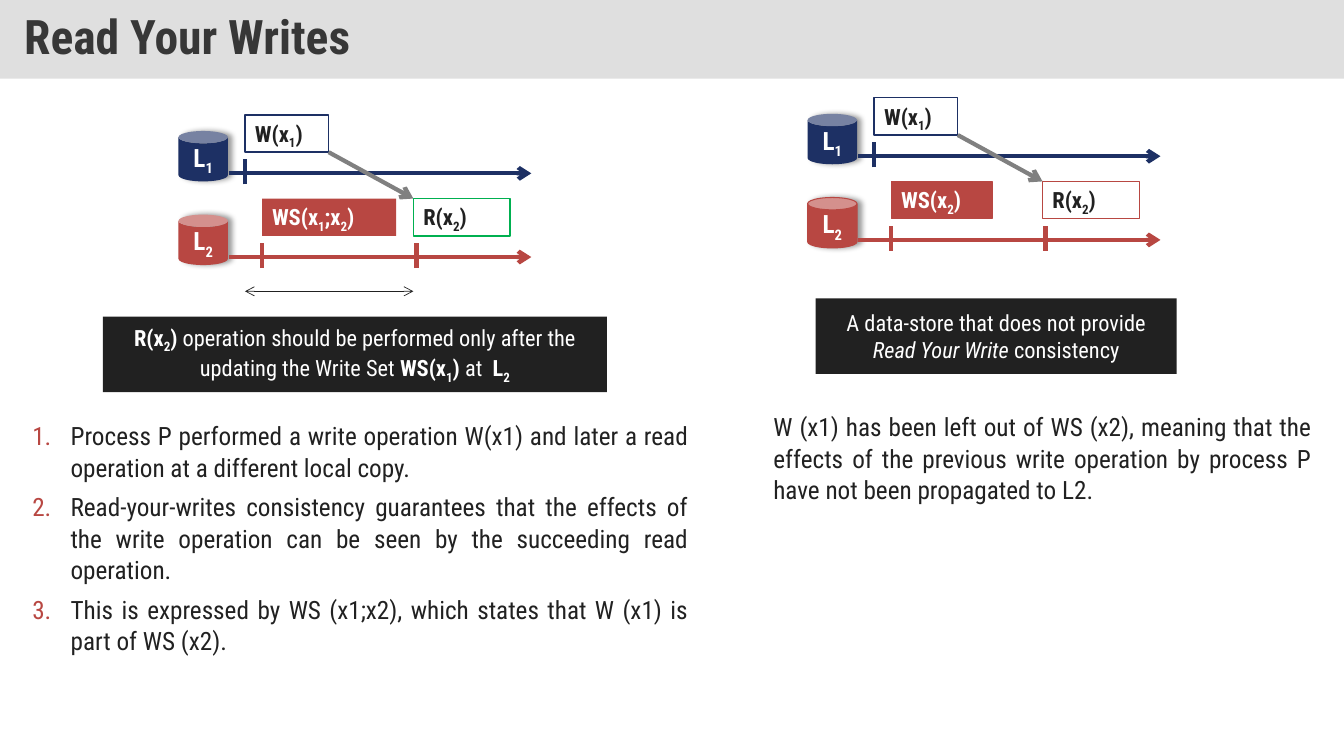
"""Build the slide that explains read-your-writes consistency."""
from lxml.etree import SubElement
from pptx import Presentation
from pptx.dml.color import RGBColor
from pptx.enum.shapes import MSO_CONNECTOR as Connector, MSO_SHAPE as Shape
from pptx.enum.text import MSO_ANCHOR as Anchor, MSO_AUTO_SIZE as AutoSize, PP_ALIGN as Align
from pptx.oxml.ns import qn
from pptx.util import Inches, Pt

FONT = "Roboto Condensed"
COLORS = {"navy": "1D3064", "red": "B84742", "green": "00B050", "dark": "212121",
          "gray": "808080", "white": "FFFFFF", "title": "373737", "banner": "C0C0C0"}

TITLE = "Read Your Writes"
WRITE = [("W(x", "b"), ("1", "bs"), (")", "b")]
READ = [("R(x", "b"), ("2", "bs"), (")", "b")]
PANELS = [
    {"origin": (1.77, 1.30), "write_set_width": 1.33, "write_set_line": None,
     "read_line": "green", "store_lines": (None, None), "interval": True,
     "write_set": [("WS(x", "b"), ("1", "bs"), (";x", "b"), ("2", "bs"), (")", "b")],
     "callout_at": (1.02, 3.14, 5, 0.75),
     "callout": READ + [
         (" operation should be performed only after the updating the Write Set ", ""),
         ("WS(x", "b"), ("1", "bs"), (")", "b"), (" at  ", ""), ("L", "b"), ("2", "bs")]},
    {"origin": (8.01, 1.13), "write_set_width": 1.0, "write_set_line": "red",
     "read_line": "red", "store_lines": (None, "red"), "interval": False,
     "write_set": [("WS(x", "b"), ("2", "bs"), (")", "b")],
     "callout_at": (8.09, 2.96, 3.58, 0.75),
     "callout": [("A data-store that does not provide ", ""), ("Read Your Write", "i"),
                 (" consistency", "")]},
]
NOTES = [
    {"at": (0.22, 4.11, 6.71, 2.46), "numbered": True, "lines": [
        "Process P performed a write operation W(x1) and later a read operation at a "
        "different local copy.",
        "Read-your-writes consistency guarantees that the effects of the write operation "
        "can be seen by the succeeding read operation.",
        "This is expressed by WS (x1;x2), which states that W (x1) is part of WS (x2)."]},
    {"at": (7.57, 4.02, 5.54, 1.83), "numbered": False, "lines": [
        "W (x1) has been left out of WS (x2), meaning that the effects of the previous write "
        "operation by process P have not been propagated to L2."]},
]
ROW_COLORS = ("navy", "red")
ROW_STEP = 0.83
AXIS_X, AXIS_Y, AXIS_LENGTH = 0.5, 0.42, 3
WRITE_X, WRITE_SET_X, READ_X = 0.66, 0.83, 2.33
TICKS = [(WRITE_X, 0), (WRITE_SET_X, 1), (2.36, 1)]
BOX_Y, BOX_HEIGHT = -0.16, 0.37
WRITE_WIDTH, READ_WIDTH = 0.83, 0.96
INTERVAL_Y = 1.59


def rgb(name):
    return RGBColor.from_string(COLORS[name])


def place(shape, at):
    shape.left, shape.top, shape.width, shape.height = map(Inches, at)


def style_font(font, size, color):
    font.name, font.size = FONT, Pt(size)
    font.color.rgb = rgb(color)


def add_box(page, kind, at, parts, fill, line=None, width=1, size=16, color="white",
            align=Align.CENTER, anchor=Anchor.MIDDLE):
    box = page.shapes.add_shape(kind, *map(Inches, at))
    box.shadow.inherit = False
    box.fill.solid()
    box.fill.fore_color.rgb = rgb(fill)
    if line:
        box.line.color.rgb = rgb(line)
        box.line.width = Pt(width)
    else:
        box.line.fill.background()
    frame = box.text_frame
    frame.word_wrap = True
    frame.vertical_anchor = anchor
    para = frame.paragraphs[0]
    para.alignment = align
    for text, style in parts:
        span = para.add_run()
        span.text = text
        style_font(span.font, size, color)
        span.font.bold = "b" in style
        span.font.italic = "i" in style
        if "s" in style:
            span.font._element.set("baseline", "-25000")
    return box


def add_operation(page, at, parts, fill, line, color):
    box = add_box(page, Shape.RECTANGLE, at, parts, fill, line, color=color,
                  align=Align.LEFT, anchor=Anchor.TOP)
    box.text_frame.auto_size = AutoSize.SHAPE_TO_FIT_TEXT


def add_store(page, at, number, fill, line):
    store = add_box(page, Shape.CAN, at, [("L", "b"), (number, "bs")], fill, line,
                    width=0.75, size=18)
    effects = store._element.spPr.find(qn("a:effectLst"))
    shadow = SubElement(effects, qn("a:outerShdw"), blurRad=str(Pt(4)), dist=str(Pt(3)),
                        dir="0", algn="l", rotWithShape="0")
    shade = SubElement(shadow, qn("a:srgbClr"), val="000000")
    SubElement(shade, qn("a:alpha"), val="40000")


def add_line(page, start, end, color, width=3, heads=()):
    line = page.shapes.add_connector(Connector.STRAIGHT, *map(Inches, start + end))
    line.line.color.rgb = rgb(color)
    line.line.width = Pt(width)
    for head in heads:
        SubElement(line.line._get_or_add_ln(), qn(f"a:{head}"), type="arrow")
    SubElement(line._element.spPr, qn("a:effectLst"))


def add_panel(page, panel):
    left, top = panel["origin"]
    for row, color in enumerate(ROW_COLORS):
        add_store(page, (left, top + row * ROW_STEP, 0.49, 0.5), str(row + 1), color,
                  panel["store_lines"][row])
    for row, color in enumerate(ROW_COLORS):
        y = top + AXIS_Y + row * ROW_STEP
        add_line(page, (left + AXIS_X, y), (left + AXIS_X + AXIS_LENGTH, y), color,
                 heads=["tailEnd"])

    write_y = top + BOX_Y
    read_y = write_y + ROW_STEP
    add_operation(page, (left + WRITE_SET_X, read_y, panel["write_set_width"], BOX_HEIGHT),
                  panel["write_set"], "red", panel["write_set_line"], "white")
    add_operation(page, (left + READ_X, read_y, READ_WIDTH, BOX_HEIGHT),
                  READ, "white", panel["read_line"], "dark")
    add_operation(page, (left + WRITE_X, write_y, WRITE_WIDTH, BOX_HEIGHT),
                  WRITE, "white", "navy", "dark")

    for x, row in TICKS:
        y = top + AXIS_Y + row * ROW_STEP
        add_line(page, (left + x, y + 0.11), (left + x, y - 0.14), ROW_COLORS[row])
    if panel["interval"]:
        add_line(page, (left + WRITE_X, top + INTERVAL_Y), (left + READ_X, top + INTERVAL_Y),
                 "dark", 0.5, ["headEnd", "tailEnd"])
    add_box(page, Shape.RECTANGLE, panel["callout_at"], panel["callout"], "dark")
    add_line(page, (left + WRITE_X + WRITE_WIDTH, write_y + BOX_HEIGHT),
             (left + READ_X, read_y), "gray", heads=["tailEnd"])


def fill_title(title):
    place(title, (0, 0, 13.33, 0.78))
    title.fill.solid()
    title.fill.fore_color.rgb = rgb("banner")
    shade = next(title._element.spPr.iter(qn("a:srgbClr")))
    SubElement(shade, qn("a:alpha"), val="50000")
    frame = title.text_frame
    frame.text = TITLE
    frame.auto_size = AutoSize.NONE
    frame.vertical_anchor = Anchor.MIDDLE
    frame.margin_left = frame.margin_right = Inches(0.24)
    frame.margin_top = frame.margin_bottom = Inches(0.12)
    para = frame.paragraphs[0]
    para.alignment = Align.LEFT
    para.line_spacing = 0.9
    style_font(para.runs[0].font, 34, "title")
    para.runs[0].font.bold = True


def fill_notes(body, notes):
    place(body, notes["at"])
    frame = body.text_frame
    frame.text = "\n".join(notes["lines"])
    frame.auto_size = AutoSize.NONE
    frame.vertical_anchor = Anchor.TOP
    for index, para in enumerate(frame.paragraphs):
        props = para._p.get_or_add_pPr()
        indent = Inches(0.38) if notes["numbered"] else 0
        props.set("marL", str(indent))
        props.set("indent", str(-indent))
        if notes["numbered"]:
            tint = SubElement(props, qn("a:buClr"))
            SubElement(tint, qn("a:srgbClr"), val=COLORS["red"])
            SubElement(props, qn("a:buFont"), typeface=FONT)
            SubElement(props, qn("a:buAutoNum"), type="arabicPeriod")
        else:
            SubElement(props, qn("a:buNone"))
        para.alignment = Align.JUSTIFY
        para.line_spacing = 1.04
        para.space_before = Pt(5.8 if index else 0)
        style_font(para.runs[0].font, 18, "dark")


def main():
    deck = Presentation()
    deck.slide_width, deck.slide_height = Inches(13.33), Inches(7.5)
    page = deck.slides.add_slide(deck.slide_layouts[3])
    fill_title(page.shapes.title)
    for index, notes in enumerate(NOTES, start=1):
        fill_notes(page.placeholders[index], notes)
    for panel in PANELS:
        add_panel(page, panel)
    deck.save("out.pptx")


if __name__ == "__main__":
    main()
